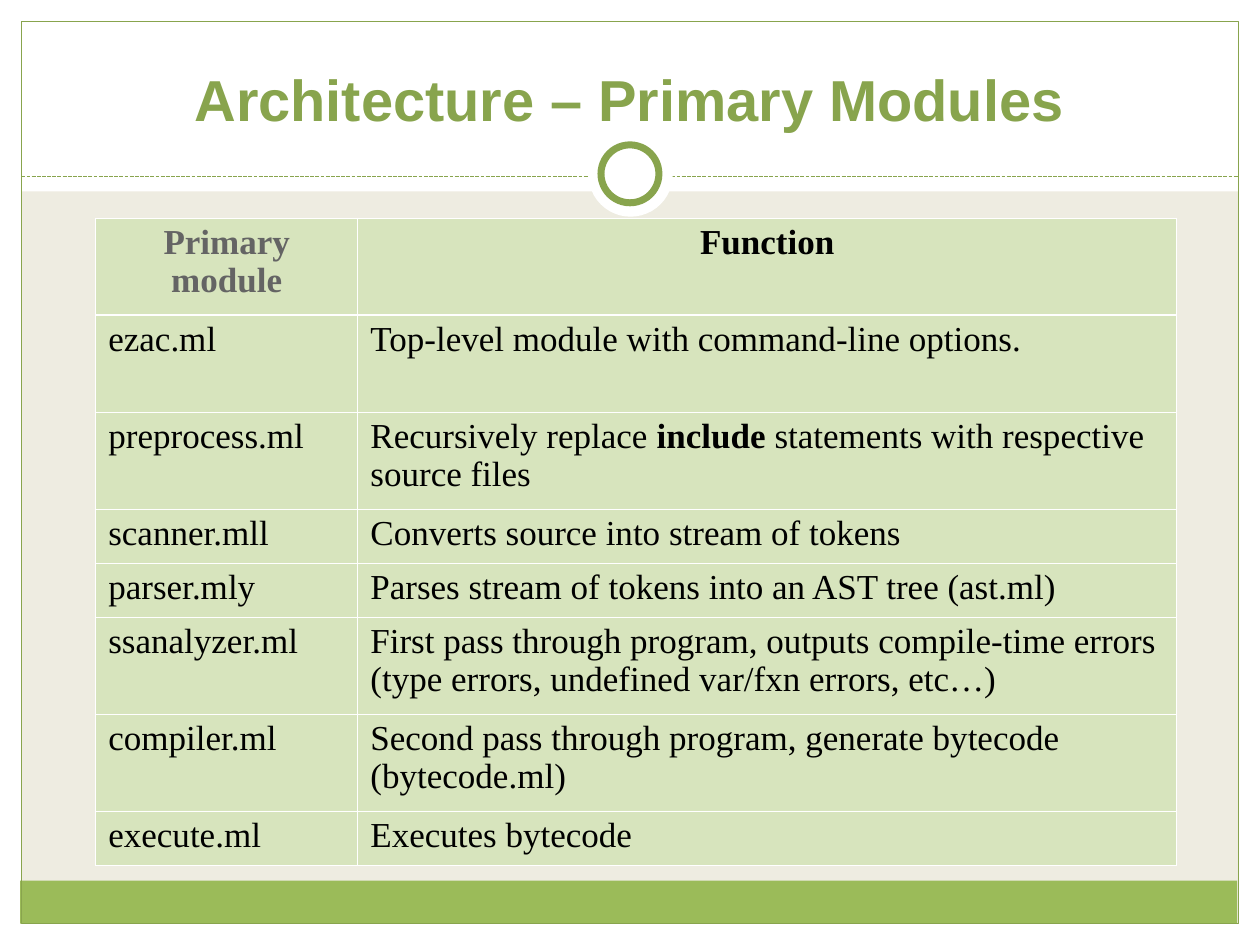
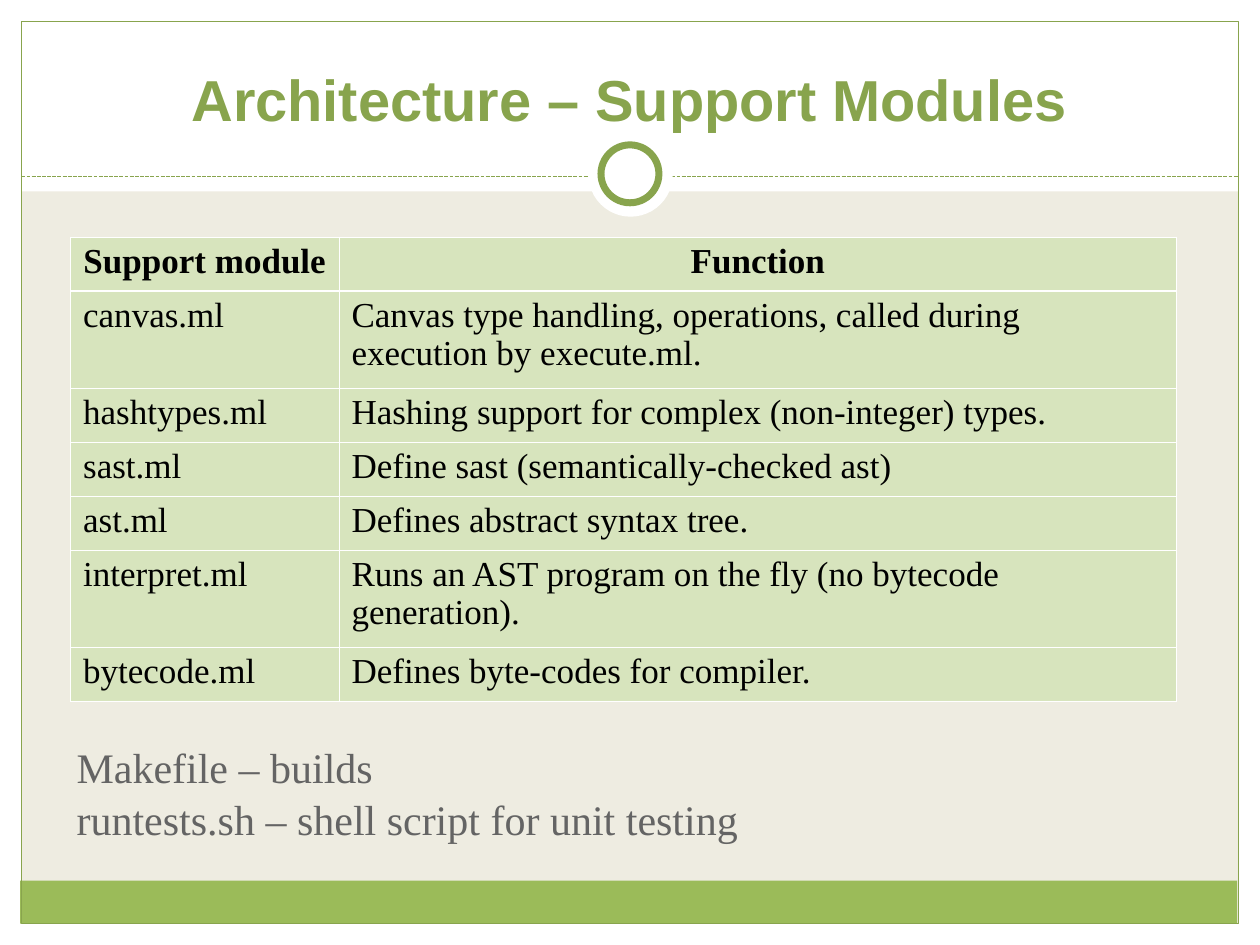
from lxml.etree import SubElement
from pptx import Presentation
from pptx.dml.color import RGBColor
from pptx.enum.dml import MSO_LINE
from pptx.enum.shapes import MSO_CONNECTOR, MSO_SHAPE
from pptx.enum.text import MSO_ANCHOR, PP_ALIGN
from pptx.oxml.ns import qn
from pptx.util import Inches, Pt

WHITE = RGBColor(0xFF, 0xFF, 0xFF)
BLACK = RGBColor(0x00, 0x00, 0x00)
GRAY = RGBColor(0x64, 0x64, 0x64)
BEIGE = RGBColor(0xEE, 0xEC, 0xE1)
GREEN = RGBColor(0x9B, 0xBB, 0x59)
DARK_GREEN = RGBColor(0x88, 0xA4, 0x4D)
PALE_GREEN = RGBColor(0xD7, 0xE4, 0xBD)
TITLE_FONT = "Arial"
BODY_FONT = "Times New Roman"

WIDTH, HEIGHT, MARGIN = 10, 7.5, 0.17
SHORT_ROW, TALL_ROW = 0.43, 0.77
THIN, THICK = 0.45, 1.47

# Content: text between asterisks is bold; tall rows hold two lines
SLIDES = [
    {
        "title": "Architecture – Primary Modules",
        "place": (0.76, 1.73),
        "columns": (2.08, 6.5),
        "header_colors": (GRAY, BLACK),
        "tall_rows": {0, 1, 2, 5, 6},
        "rows": [
            ("Primary module", "Function"),
            ("ezac.ml", "Top-level module with command-line options."),
            ("preprocess.ml", "Recursively replace *include* statements with "
                              "respective source files"),
            ("scanner.mll", "Converts source into stream of tokens"),
            ("parser.mly", "Parses stream of tokens into an AST tree (ast.ml)"),
            ("ssanalyzer.ml", "First pass through program, outputs compile-time errors "
                              "(type errors, undefined var/fxn errors, etc…)"),
            ("compiler.ml", "Second pass through program, generate bytecode (bytecode.ml)"),
            ("execute.ml", "Executes bytecode"),
        ],
        "notes": [],
    },
    {
        "title": "Architecture – Support Modules",
        "place": (0.56, 1.88),
        "columns": (2.13, 6.65),
        "header_colors": (BLACK, BLACK),
        "tall_rows": {1, 5},
        "rows": [
            ("Support module", "Function"),
            ("canvas.ml", "Canvas type handling, operations, called during "
                          "execution by execute.ml."),
            ("hashtypes.ml", "Hashing support for complex (non-integer) types."),
            ("sast.ml", "Define sast (semantically-checked ast)"),
            ("ast.ml", "Defines abstract syntax tree."),
            ("interpret.ml", "Runs an AST program on the fly (no bytecode generation)."),
            ("bytecode.ml", "Defines byte-codes for compiler."),
        ],
        "notes": ["Makefile – builds", "runtests.sh – shell script for unit testing"],
    },
]


def add_run(paragraph, text, font_name, size, color, bold=False):
    run = paragraph.add_run()
    run.text = text
    run.font.name = font_name
    run.font.size = Pt(size)
    run.font.color.rgb = color
    run.font.bold = bold


def add_block(slide, preset, place, fill=None, line=None, line_width=0.75):
    shape = slide.shapes.add_shape(preset, *map(Inches, place))
    shape.shadow.inherit = False
    if fill is None:
        shape.fill.background()
    else:
        shape.fill.solid()
        shape.fill.fore_color.rgb = fill
    if line is None:
        shape.line.fill.background()
    else:
        shape.line.color.rgb = line
        shape.line.width = Pt(line_width)
    return shape


def add_frame(slide):
    """Draw the white margins, green band, border, dashed rule and ring."""
    inner_width = WIDTH - 2 * MARGIN
    margins = [
        (0, HEIGHT - MARGIN, WIDTH, MARGIN),
        (0, 0, WIDTH, 1.52),
        (0, 0, MARGIN, HEIGHT),
        (WIDTH - MARGIN, 0, MARGIN, HEIGHT),
    ]
    parts = [add_block(slide, MSO_SHAPE.RECTANGLE, place, WHITE) for place in margins]
    parts.append(add_block(slide, MSO_SHAPE.RECTANGLE, (0.16, 6.99, inner_width, 0.34), GREEN))
    parts.append(add_block(slide, MSO_SHAPE.RECTANGLE,
                           (MARGIN, MARGIN, inner_width, HEIGHT - 2 * MARGIN),
                           line=DARK_GREEN))
    rule = slide.shapes.add_connector(MSO_CONNECTOR.STRAIGHT, Inches(MARGIN), Inches(1.4),
                                      Inches(WIDTH - MARGIN), Inches(1.4))
    rule.line.color.rgb = DARK_GREEN
    rule.line.width = Pt(0.75)
    rule.line.dash_style = MSO_LINE.SQUARE_DOT
    SubElement(rule._element.spPr, qn("a:effectLst"))
    parts.append(rule)
    parts.append(add_block(slide, MSO_SHAPE.OVAL, (4.67, 1.05, 0.67, 0.67), WHITE))
    parts.append(add_block(slide, MSO_SHAPE.OVAL, (4.77, 1.15, 0.46, 0.46),
                           WHITE, DARK_GREEN, 4))
    return parts


def move_to_layout(parts, layout):
    """Place the shared parts behind the placeholders of the layout."""
    tree = layout.shapes._spTree
    for index, part in enumerate(parts):
        part._element.xpath("./*/p:cNvPr")[0].set("id", str(100 + index))
        tree.insert(2 + index, part._element)


def set_title(slide, text):
    title = slide.shapes.title
    title.left, title.top, title.width, title.height = map(Inches, (0.33, 0.28, 9.33, 0.83))
    title.text_frame.vertical_anchor = MSO_ANCHOR.BOTTOM
    paragraph = title.text_frame.paragraphs[0]
    paragraph.alignment = PP_ALIGN.CENTER
    add_run(paragraph, text, TITLE_FONT, 33, DARK_GREEN, True)


def set_borders(cell, top, bottom):
    properties = cell._tc.get_or_add_tcPr()
    widths = {"lnL": THIN, "lnR": THIN, "lnT": top, "lnB": bottom}
    for index, (side, width) in enumerate(widths.items()):
        border = SubElement(properties, qn(f"a:{side}"), w=str(Pt(width)))
        fill = SubElement(border, qn("a:solidFill"))
        SubElement(fill, qn("a:srgbClr"), val=str(WHITE))
        properties.insert(index, border)


def add_module_table(slide, content):
    rows, columns = content["rows"], content["columns"]
    heights = [TALL_ROW if index in content["tall_rows"] else SHORT_ROW
               for index in range(len(rows))]
    left, top = content["place"]
    table = slide.shapes.add_table(len(rows), len(columns), Inches(left), Inches(top),
                                   Inches(sum(columns)), Inches(sum(heights))).table
    for column, width in zip(table.columns, columns):
        column.width = Inches(width)
    for row_index, texts in enumerate(rows):
        table.rows[row_index].height = Inches(heights[row_index])
        is_header = row_index == 0
        for column_index, text in enumerate(texts):
            cell = table.cell(row_index, column_index)
            cell.fill.solid()
            cell.fill.fore_color.rgb = PALE_GREEN
            set_borders(cell, THICK if row_index == 1 else THIN, THICK if is_header else THIN)
            paragraph = cell.text_frame.paragraphs[0]
            paragraph.alignment = PP_ALIGN.CENTER if is_header else PP_ALIGN.LEFT
            paragraph.line_spacing = 0.97
            color = content["header_colors"][column_index] if is_header else BLACK
            for piece_index, piece in enumerate(text.split("*")):
                add_run(paragraph, piece, BODY_FONT, 20, color,
                        is_header or piece_index % 2 == 1)


def add_notes_below(slide, lines):
    box = slide.shapes.add_textbox(*map(Inches, (0.51, 5.82, 5.45, 0.9)))
    frame = box.text_frame
    frame.word_wrap = False
    for index, line in enumerate(lines):
        paragraph = frame.add_paragraph() if index else frame.paragraphs[0]
        paragraph.line_spacing = 1.04
        add_run(paragraph, line, BODY_FONT, 24, GRAY)


def main():
    presentation = Presentation()
    presentation.slide_width, presentation.slide_height = Inches(WIDTH), Inches(HEIGHT)
    layout = presentation.slide_layouts.get_by_name("Title Only")
    layout.background.fill.solid()
    layout.background.fill.fore_color.rgb = BEIGE

    for index, content in enumerate(SLIDES):
        slide = presentation.slides.add_slide(layout)
        if index == 0:
            move_to_layout(add_frame(slide), layout)
        set_title(slide, content["title"])
        add_module_table(slide, content)
        if content["notes"]:
            add_notes_below(slide, content["notes"])
    presentation.save("out.pptx")


if __name__ == "__main__":
    main()
